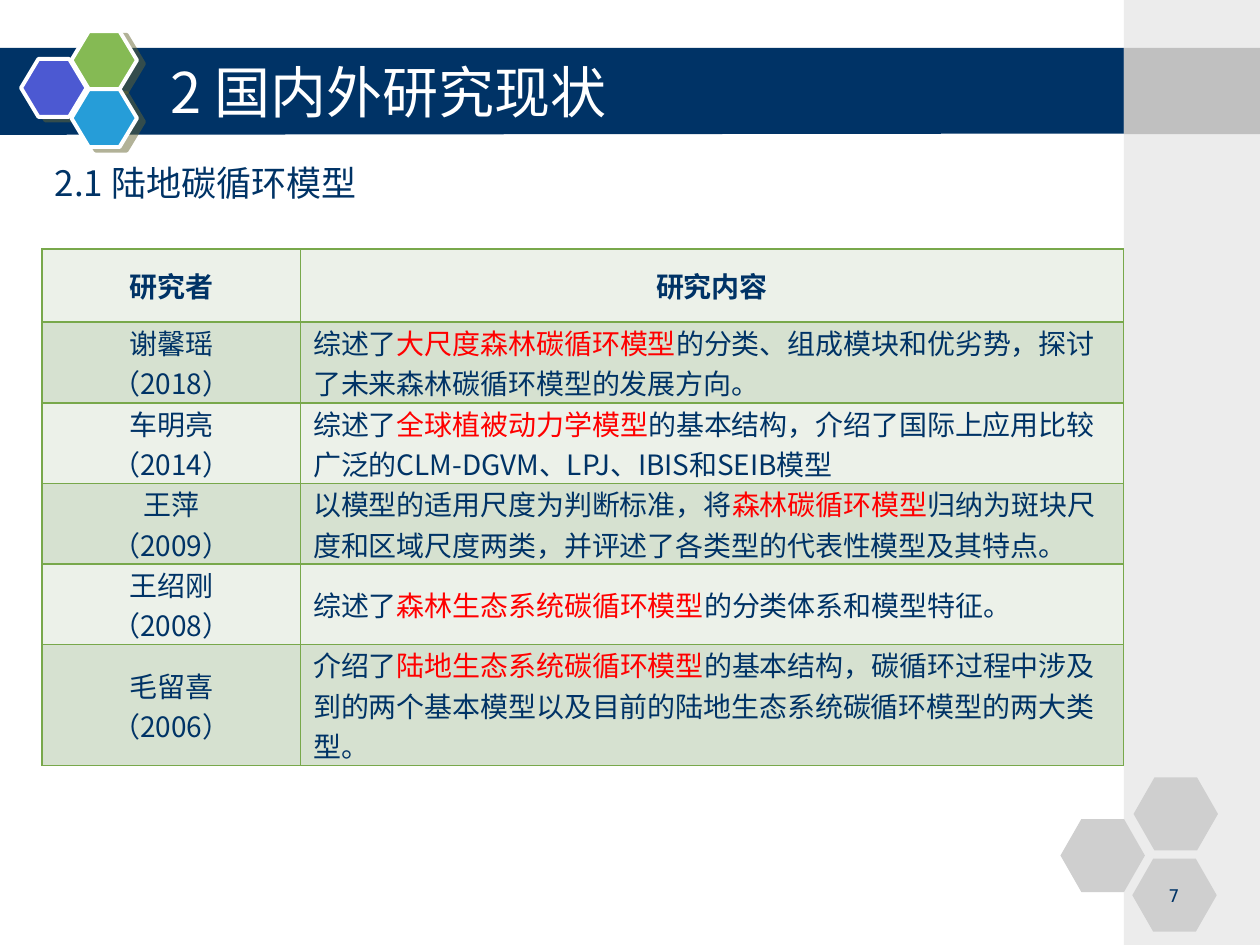
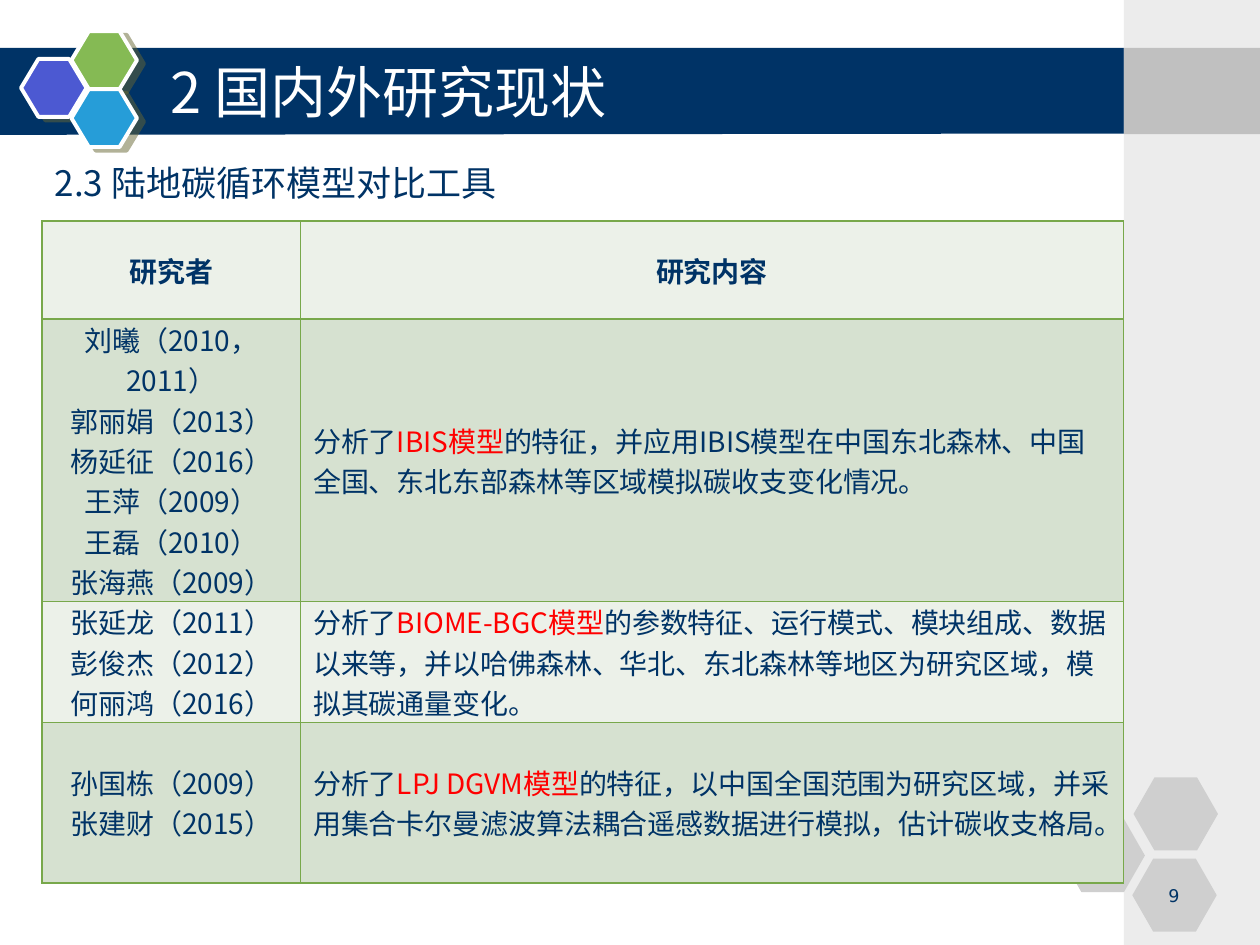
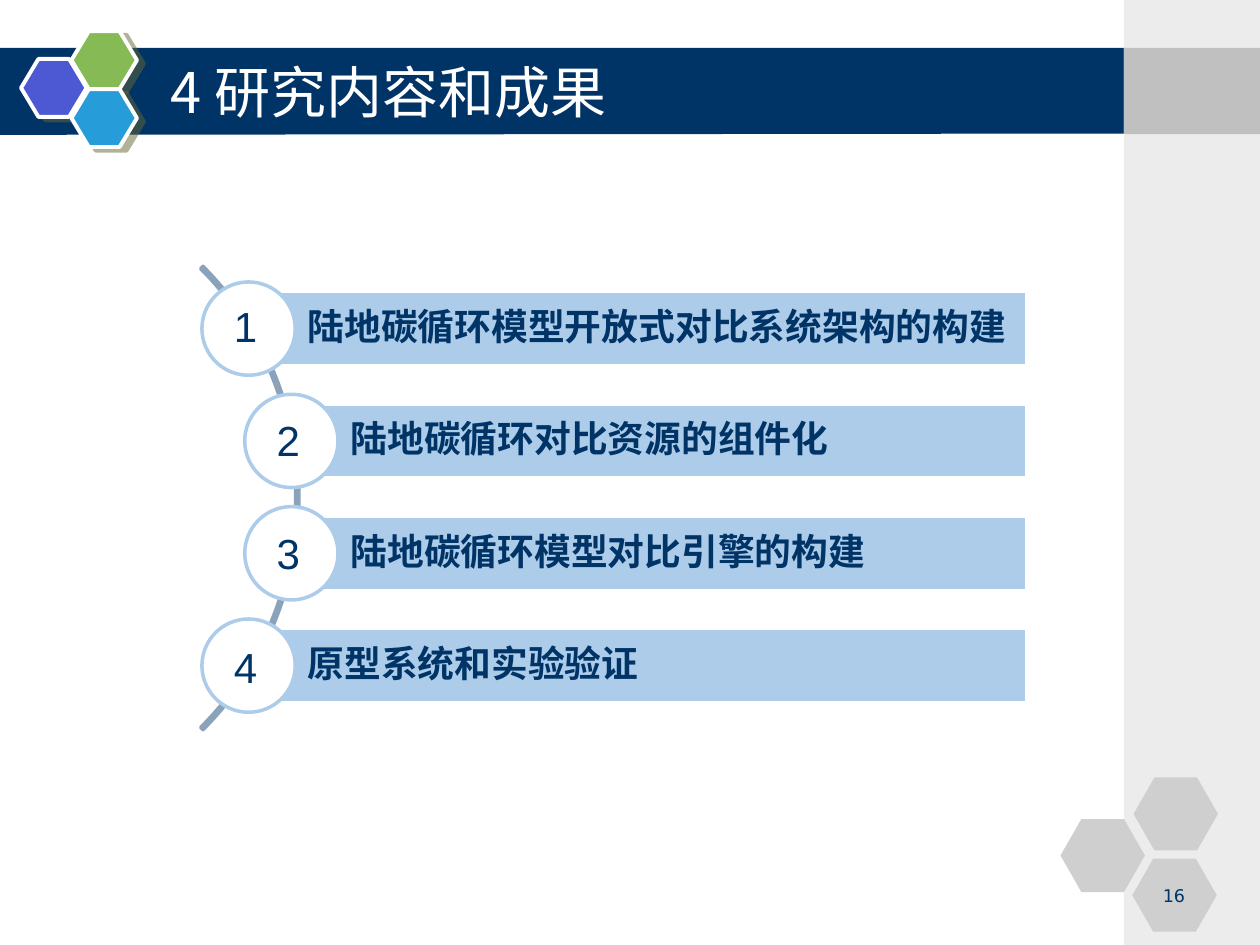
from collections import namedtuple
from itertools import product

from lxml import etree
from pptx import Presentation
from pptx import util as u
from pptx.dml.color import RGBColor
from pptx.enum import shapes, text
from pptx.oxml.ns import qn

# The slide is a grid of 100 columns by 75 rows; every length counts cells.
CELL = u.Inches(0.1)
COLUMNS, ROWS = 100, 75
TABLE_LINE = 3.2

NAVY, WHITE, RED = "003366", "FFFFFF", "FF0000"
INDIGO, GREEN, BLUE, OLIVE = "4C59D2", "85BA54", "269DD8", "666633"
SIDE_GREY, BAND_GREY, HEXAGON_GREY = "ECECEC", "C0C0C0", "CFCFCF"
LIGHT_ROW, DARK_ROW, BORDER = "ECF1E9", "D6E1D0", "78A84B"
BAR_BLUE, ARC_BLUE = "ACCCE9", "8AA3BB"
CJK, SANS, DIGITS = "Noto Sans CJK SC", "DejaVu Sans", "Arial"

SHAPE = shapes.MSO_SHAPE
MIDDLE = text.MSO_ANCHOR.MIDDLE
CENTER = text.PP_ALIGN.CENTER

Box = namedtuple("Box", "left top width height")

SIDE = Box(89.2, 0, 10.8, ROWS)
BAND = Box(-0.3, 3.8, 89.6, 6.9)
EMBLEM = Box(1.67, 2.48, 9.2, 9.2)
HONEYCOMB = Box(84.17, 61.7, 12.5, 12.2)
TITLE = Box(12.55, 4.15, 74.2, 6.2)
SUBTITLE = Box(3.35, 11.65, 75, 6.1)
AGENDA = Box(16.03, 23.13, 65.47, 32.65)


def inside(box, left, top, width, height):
    """Box whose left and top are counted from the corner of another box."""
    return Box(box.left + left, box.top + top, width, height)


def emu(box):
    return [round(length * CELL) for length in box]


def color(value):
    return RGBColor.from_string(value)


def apply(target, values):
    for name, value in values.items():
        setattr(target, name, value)


def paint(shape, fill=None, line=None, weight=2):
    shape.shadow.inherit = False
    if fill:
        shape.fill.solid()
        shape.fill.fore_color.rgb = color(fill)
    else:
        shape.fill.background()
    if line:
        shape.line.color.rgb = color(line)
        shape.line.width = u.Pt(weight)
    else:
        shape.line.fill.background()
    return shape


def add_preset(page, kind, box, fill=None, line=None, weight=2, adjust=()):
    shape = page.shapes.add_shape(kind, *emu(box))
    for index, value in enumerate(adjust):
        shape.adjustments[index] = value
    return paint(shape, fill, line, weight)


def cast_shadow(shape):
    effects = shape.element.spPr.find(qn("a:effectLst"))
    shadow = etree.SubElement(effects, qn("a:outerShdw"), blurRad="0",
                              dist=str(u.Pt(4.5)), dir=str(27 * 60000),
                              algn="ctr", rotWithShape="0")
    tint = etree.SubElement(shadow, qn("a:srgbClr"), val=OLIVE)
    etree.SubElement(tint, qn("a:alpha"), val="50000")


def write(frame, lines, size, font=CJK, ink=NAVY, bold=False, **layout):
    """Fill a frame line by line; text between bars is red."""
    for index, line in enumerate(lines):
        para = frame.paragraphs[0] if index == 0 else frame.add_paragraph()
        apply(para, layout)
        for order, words in enumerate(line.split("|")):
            span = para.add_run()
            span.text = words
            apply(span.font, {"size": u.Pt(size), "name": font, "bold": bold})
            span.font.color.rgb = color(RED if order % 2 else ink)
            east = etree.SubElement(span.font._element, qn("a:ea"))
            east.set("typeface", CJK)


def add_label(page, box, words, size, frame_values=None, **style):
    frame = page.shapes.add_textbox(*emu(box)).text_frame
    apply(frame, {"word_wrap": True, **(frame_values or {})})
    write(frame, [words], size, **style)


def add_band(page, box):
    corners = [(0, 0), (box.width, 0), (box.width - 0.1, box.height - 0.1),
               (0, box.height)]
    points = [emu((box.left + across, box.top + down))
              for across, down in corners]
    outline = page.shapes.build_freeform(*points[0])
    outline.add_line_segments(points[1:])
    paint(outline.convert_to_shape(), NAVY)


def add_emblem(page, box):
    cells = [(0, 2.2, INDIGO), (4, 0, GREEN), (4, 4.6, BLUE)]
    for left, top, fill in cells:
        cast_shadow(add_preset(page, SHAPE.HEXAGON,
                               inside(box, left, top, 5.2, 4.6),
                               fill, WHITE, 2.25, [0.3]))


def add_side(page, box):
    add_preset(page, SHAPE.RECTANGLE, box, SIDE_GREY)
    add_preset(page, SHAPE.RECTANGLE,
               inside(box, 0, BAND.top, box.width, 6.85), BAND_GREY)


def add_honeycomb(page, box):
    for left, top in [(0, 3.3), (5.8, 0), (5.7, 6.45)]:
        add_preset(page, SHAPE.HEXAGON, inside(box, left, top, 6.7, 5.8),
                   HEXAGON_GREY, adjust=[0.286])


def add_page_number(page, box, number):
    plate = add_preset(page, SHAPE.RECTANGLE, inside(box, 6.5, 8.05, 5, 2.5),
                       HEXAGON_GREY)
    plate.text_frame.vertical_anchor = text.MSO_ANCHOR.TOP
    write(plate.text_frame, [str(number)], 10, SANS, alignment=CENTER)


def add_page(deck, title, number):
    """Slide with everything that all slides share."""
    page = deck.slides.add_slide(deck.slide_layouts[6])
    add_band(page, BAND)
    add_emblem(page, EMBLEM)
    add_side(page, SIDE)
    add_honeycomb(page, HONEYCOMB)
    add_page_number(page, HONEYCOMB, number)
    add_label(page, TITLE, title, 32, {"vertical_anchor": MIDDLE}, ink=WHITE)
    return page


def border_cell(cell):
    properties = cell._tc.get_or_add_tcPr()
    for side in ("lnL", "lnR", "lnT", "lnB"):
        edge = etree.SubElement(properties, qn(f"a:{side}"), w=str(u.Pt(1)))
        fill = etree.SubElement(edge, qn("a:solidFill"))
        etree.SubElement(fill, qn("a:srgbClr"), val=BORDER)


def add_studies(page, top, heights, studies):
    """Table of researchers and the content of their research."""
    widths = [20.5, 65.3]
    rows = [(["研究者"], "研究内容"), *studies]
    box = Box(3.35, top, sum(widths), sum(heights))
    table = page.shapes.add_table(len(rows), len(widths), *emu(box)).table
    for column, width in zip(table.columns, widths):
        column.width = round(width * CELL)
    for row, height in zip(table.rows, heights):
        row.height = round(height * CELL)
    for row, column in product(range(len(rows)), range(len(widths))):
        cell = table.cell(row, column)
        border_cell(cell)
        apply(cell, {"vertical_anchor": MIDDLE, "margin_top": 0,
                     "margin_bottom": 0})
        cell.fill.solid()
        cell.fill.fore_color.rgb = color(DARK_ROW if row % 2 else LIGHT_ROW)
        people, content = rows[row]
        centred = row == 0 or column == 0
        write(cell.text_frame, [content] if column else people, 16,
              bold=row == 0,
              alignment=CENTER if centred else text.PP_ALIGN.LEFT)


def build_study_page(deck, number, subtitle, top, heights, studies):
    page = add_page(deck, "2 国内外研究现状", number)
    add_label(page, SUBTITLE, subtitle, 20, line_spacing=1.2,
              space_before=u.Pt(4))
    add_studies(page, top, heights, studies)


def add_agenda(page, box, items):
    """Numbered bars whose circles follow an arc."""
    bar_height, circle = 5.9, 7.4
    pitch = (box.height - bar_height) / (len(items) - 1)
    padding = {"margin_left": u.Inches(0.47), "margin_right": u.Inches(0.06),
               "margin_top": u.Inches(0.06), "margin_bottom": u.Inches(0.06),
               "vertical_anchor": MIDDLE}
    add_preset(page, SHAPE.BLOCK_ARC, inside(box, -44.3, -9.6, 52, 52),
               line=ARC_BLUE, adjust=[189, 27, 0.005])
    for index, item in enumerate(items):
        indent = 0 if index in (0, len(items) - 1) else 3.4
        start = indent + circle / 2
        top = index * pitch
        bar = inside(box, start, top, box.width - start, bar_height)
        add_preset(page, SHAPE.RECTANGLE, bar, BAR_BLUE, WHITE)
        add_label(page, bar, item, 21, padding, font=SANS, bold=True,
                  line_spacing=0.9)
        add_preset(page, SHAPE.OVAL,
                   inside(box, indent, top - 0.75, circle, circle),
                   WHITE, BAR_BLUE)
        add_label(page, inside(box, indent + 1.55, 0.25 + index * 9, 4.7, 5.1),
                  str(index + 1), 24, font=DIGITS)


def main():
    deck = Presentation()
    deck.slide_width, deck.slide_height = COLUMNS * CELL, ROWS * CELL

    model_rows = [5.8] + [lines * TABLE_LINE for lines in (2, 2, 2, 2, 3)]
    build_study_page(deck, 7, "2.1 陆地碳循环模型", 19.77, model_rows, [
        (["谢馨瑶", "（2018）"],
         "综述了|大尺度森林碳循环模型|的分类、组成模块和优劣势，"
         "探讨了未来森林碳循环模型的发展方向。"),
        (["车明亮", "（2014）"],
         "综述了|全球植被动力学模型|的基本结构，"
         "介绍了国际上应用比较广泛的CLM-DGVM、LPJ、IBIS和SEIB模型"),
        (["王萍", "（2009）"],
         "以模型的适用尺度为判断标准，将|森林碳循环模型|归纳为斑块尺度和"
         "区域尺度两类，并评述了各类型的代表性模型及其特点。"),
        (["王绍刚", "（2008）"],
         "综述了|森林生态系统碳循环模型|的分类体系和模型特征。"),
        (["毛留喜", "（2006）"],
         "介绍了|陆地生态系统碳循环模型|的基本结构，碳循环过程中涉及到的"
         "两个基本模型以及目前的陆地生态系统碳循环模型的两大类型。"),
    ])
    tool_rows = [7.8, 7 * TABLE_LINE, 3 * TABLE_LINE, 12.75]
    build_study_page(deck, 9, "2.3 陆地碳循环模型对比工具", 17.53, tool_rows, [
        (["刘曦（2010，2011）", "郭丽娟（2013）", "杨延征（2016）",
          "王萍（2009）", "王磊（2010）", "张海燕（2009）"],
         "分析了|IBIS模型|的特征，并应用IBIS模型在中国东北森林、中国全国、"
         "东北东部森林等区域模拟碳收支变化情况。"),
        (["张延龙（2011）", "彭俊杰（2012）", "何丽鸿（2016）"],
         "分析了|BIOME-BGC模型|的参数特征、运行模式、模块组成、数据以来等，"
         "并以哈佛森林、华北、东北森林等地区为研究区域，模拟其碳通量变化。"),
        (["孙国栋（2009）", "张建财（2015）"],
         "分析了|LPJ DGVM模型|的特征，以中国全国范围为研究区域，"
         "并采用集合卡尔曼滤波算法耦合遥感数据进行模拟，估计碳收支格局。"),
    ])
    add_agenda(add_page(deck, "4 研究内容和成果", 16), AGENDA, [
        "陆地碳循环模型开放式对比系统架构的构建",
        "陆地碳循环对比资源的组件化",
        "陆地碳循环模型对比引擎的构建",
        "原型系统和实验验证",
    ])
    deck.save("out.pptx")


if __name__ == "__main__":
    main()
